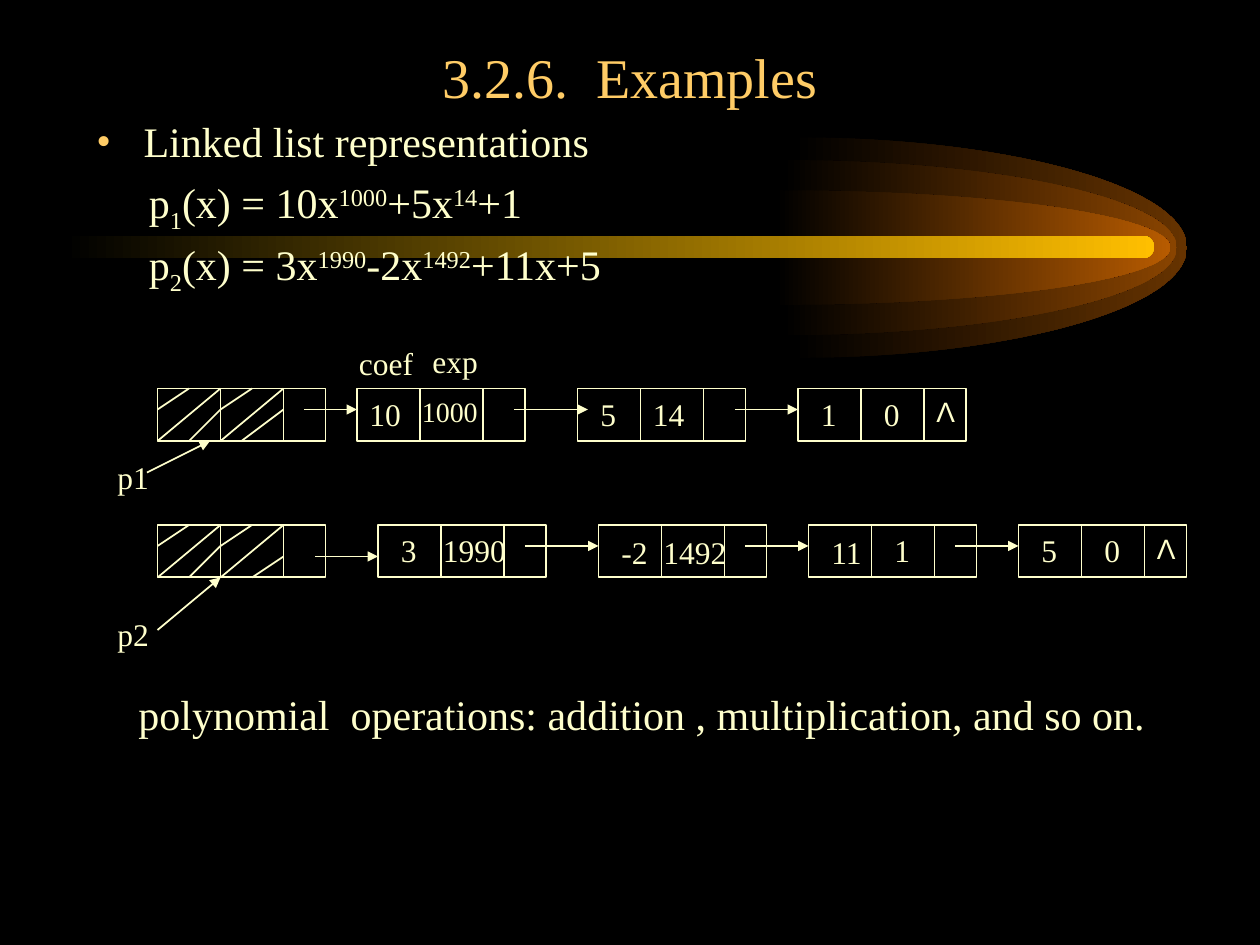
from dataclasses import dataclass
from typing import NamedTuple

from lxml import etree
from pptx import Presentation
from pptx import util as u
from pptx.dml.color import RGBColor
from pptx.enum import shapes, text
from pptx.oxml import ns


@dataclass(frozen=True)
class Theme:
    black: str = "000000"
    ink: str = "FFFFCC"
    accent: str = "FFCC66"
    beam: str = "FFBF00"
    serif: str = "Times New Roman"
    sans: str = "Arial"
    title: int = 32
    body: int = 24
    label: int = 18
    small: int = 16
    line: int = 1


THEME = Theme()


class Point(NamedTuple):
    x: float
    y: float


class Glow(NamedTuple):
    left: float
    top: float
    height: float
    color: str


class Label(NamedTuple):
    words: str
    left: float
    top: float
    width: float
    size: int = THEME.label
    font: str = THEME.serif


class Stroke(NamedTuple):
    start: Point
    end: Point


class ListRow(NamedTuple):
    top: float
    nodes: tuple
    last_hatch: Stroke
    arrows: tuple
    labels: tuple


# Text and diagram sit on a grid of twelfths of an inch
NODE_WIDTH, NODE_HEIGHT, CELL_WIDTH = 16, 5, 6
HEAD_LEFT = 15

# The comet is measured in inches
TAIL_LENGTH = 3.13
CURVE = 0.55  # control distance of a quarter ellipse
GLOWS = (Glow(6.29, 1.09, 1.75, "663300"), Glow(6.21, 1.27, 1.39, "894400"),
         Glow(6.16, 1.51, 0.91, "B75B00"))

# Hatching of a head node, relative to its top left corner
HATCHES = (
    Stroke(Point(3, 0), Point(0, 2)),
    Stroke(Point(6, 0), Point(0, 5)),
    Stroke(Point(6, 2), Point(3, 5)),
    Stroke(Point(9, 0), Point(6, 2)),
    Stroke(Point(12, 0), Point(6, 5)),
)

ROWS = (
    ListRow(
        37, (HEAD_LEFT, 34, 55, 76),
        Stroke(Point(12, 2), Point(8, 5)),
        (Stroke(Point(29, 39), Point(34, 39)), Stroke(Point(49, 39), Point(56, 39)),
         Stroke(Point(70, 39), Point(76, 39)), Stroke(Point(14, 45), Point(20, 42))),
        (Label("coef", 33, 32.2, 9), Label("exp", 40, 32, 12),
         Label("10", 34, 37, 8), Label("1000", 39, 37, 11, THEME.small),
         Label("5", 56, 37, 7), Label("14", 61, 37, 10),
         Label("1", 77, 37, 6), Label("0", 83, 37, 5),
         Label("Λ", 88, 37, 4, THEME.small, THEME.sans), Label("p1", 10, 43, 7)),
    ),
    ListRow(
        50, (HEAD_LEFT, 36, 57, 77, 97),
        Stroke(Point(12, 3), Point(9, 5)),
        (Stroke(Point(30, 53), Point(36, 53)), Stroke(Point(50, 52), Point(57, 52)),
         Stroke(Point(71, 52), Point(77, 52)), Stroke(Point(91, 52), Point(97, 52)),
         Stroke(Point(15, 60), Point(21, 55))),
        (Label("3", 37, 50, 5), Label("1990", 41, 50, 10),
         Label("-2", 58, 50.2, 6), Label("1492", 62, 50.2, 9),
         Label("11", 78, 50.2, 6), Label("1", 84, 50, 6),
         Label("5", 98, 50, 6), Label("0", 104, 50, 7),
         Label("Λ", 109, 50, 5, THEME.small, THEME.sans), Label("p2", 10, 58, 9)),
    ),
)

# Each span is its wording and its baseline shift in percent
FORMULAS = (
    (("p", 0), ("1", -25), ("(x) = 10x", 0), ("1000", 30), ("+5x", 0), ("14", 30), ("+1", 0)),
    (("p", 0), ("2", -25), ("(x) = 3x", 0), ("1990", 30), ("-2x", 0), ("1492", 30), ("+11x+5", 0)),
)


def rgb(color: str) -> RGBColor:
    return RGBColor.from_string(color)


def grid(*steps: float) -> list[u.Length]:
    return [u.Inches(step / 12) for step in steps]


def fade(shape, color: str) -> None:
    shape.shadow.inherit = False
    shape.line.fill.background()
    shape.fill.gradient()
    shape.fill.gradient_angle = 0
    for stop, shade in zip(shape.fill.gradient_stops, (THEME.black, color)):
        stop.color.rgb = rgb(shade)


def draw_glow(page, glow: Glow) -> None:
    width, height = u.Inches(TAIL_LENGTH), u.Inches(glow.height)
    left, top, middle = u.Inches(glow.left), u.Inches(glow.top), height // 2
    builder = page.shapes.build_freeform(left, top)
    builder.add_line_segments(
        [(left + width, top + middle), (left, top + height), (left, top + middle)], close=True)
    shape = builder.convert_to_shape()
    # Round the two outer sides into quarter ellipses
    bend_x, bend_y = int(width * CURVE), int(middle * CURVE)
    bends = (((bend_x, 0), (width, middle - bend_y)),
             ((width, middle + bend_y), (bend_x, height)))
    sides = list(shape._element.iter(ns.qn("a:lnTo")))
    for side, controls in zip(sides, bends):
        side.tag = ns.qn("a:cubicBezTo")
        for index, (x, y) in enumerate(controls):
            side.insert(index, etree.Element(ns.qn("a:pt"), x=str(x), y=str(y)))
    fade(shape, glow.color)


def draw_line(page, start: Point, end: Point, arrow: bool = False) -> None:
    line = page.shapes.add_connector(shapes.MSO_CONNECTOR.STRAIGHT, *grid(*start, *end))
    line.line.color.rgb = rgb(THEME.ink)
    line.line.width = u.Pt(THEME.line)
    if arrow:
        etree.SubElement(line.line._get_or_add_ln(), ns.qn("a:tailEnd"), type="triangle")
    etree.SubElement(line._element.spPr, ns.qn("a:effectLst"))


def draw_node(page, left: float, top: float) -> None:
    box = page.shapes.add_shape(
        shapes.MSO_SHAPE.RECTANGLE, *grid(left, top, NODE_WIDTH, NODE_HEIGHT))
    box.shadow.inherit = False
    box.fill.background()
    box.line.color.rgb = rgb(THEME.ink)
    box.line.width = u.Pt(THEME.line)
    for column in (1, 2):
        x = left + column * CELL_WIDTH
        draw_line(page, Point(x, top), Point(x, top + NODE_HEIGHT))


def set_font(para, size: int, color: str = THEME.ink, font: str = THEME.serif) -> None:
    para.font.size = u.Pt(size)
    para.font.name = font
    para.font.color.rgb = rgb(color)


def add_box(page, left: float, top: float, width: float, height: float):
    box = page.shapes.add_textbox(*grid(left, top, width, height))
    box.text_frame.word_wrap = True
    return box.text_frame


def draw_label(page, label: Label) -> None:
    para = add_box(page, label.left, label.top, label.width, 4.8).paragraphs[0]
    para.text = label.words
    set_font(para, label.size, font=label.font)


def draw_body(page) -> None:
    frame = add_box(page, 8, 11, 102, 56)
    para = frame.paragraphs[0]
    para.text = "Linked list representations"
    indent, = grid(4.5)
    props = para._p.get_or_add_pPr()
    props.set("marL", str(indent))
    props.set("indent", str(-indent))
    bullet_color = etree.SubElement(props, ns.qn("a:buClr"))
    etree.SubElement(bullet_color, ns.qn("a:srgbClr"), val=THEME.accent)
    etree.SubElement(props, ns.qn("a:buFont"), typeface=THEME.serif)
    etree.SubElement(props, ns.qn("a:buChar"), char="•")
    para.line_spacing = 0.9
    set_font(para, THEME.body)
    for formula in FORMULAS:
        para = frame.add_paragraph()
        para._p.get_or_add_pPr().set("marL", str(grid(5)[0]))
        para.line_spacing = 0.9
        para.space_before = u.Pt(6)
        set_font(para, THEME.body)
        for words, shift in formula:
            span = para.add_run()
            span.text = words
            if shift:
                span._r.get_or_add_rPr().set("baseline", str(shift * 1000))


def main() -> None:
    deck = Presentation()
    deck.slide_width, deck.slide_height = u.Inches(10), u.Inches(7.5)
    page = deck.slides.add_slide(deck.slide_layouts[6])
    page.background.fill.solid()
    page.background.fill.fore_color.rgb = rgb(THEME.black)

    # Comet behind the text
    for glow in GLOWS:
        draw_glow(page, glow)
    beam = page.shapes.add_shape(
        shapes.MSO_SHAPE.ROUNDED_RECTANGLE, *map(u.Inches, (0.5, 1.87, 8.66, 0.18)))
    beam.adjustments[0] = 0.5
    fade(beam, THEME.beam)

    # Title, formulas and closing line
    frame = add_box(page, 9, 4, 102, 7)
    frame.vertical_anchor = text.MSO_ANCHOR.BOTTOM
    title = frame.paragraphs[0]
    title.text = "3.2.6.  Examples"
    title.alignment = text.PP_ALIGN.CENTER
    set_font(title, THEME.title, THEME.accent)
    draw_body(page)
    draw_label(page, Label("polynomial  operations: addition , multiplication, and so on.",
                           12, 65, 100, THEME.body))

    # Linked lists
    for row in ROWS:
        for left in row.nodes:
            draw_node(page, left, row.top)
        for start, end in (*HATCHES, row.last_hatch):
            draw_line(page, Point(HEAD_LEFT + start.x, row.top + start.y),
                      Point(HEAD_LEFT + end.x, row.top + end.y))
        for start, end in row.arrows:
            draw_line(page, start, end, arrow=True)
        for label in row.labels:
            draw_label(page, label)

    deck.save("out.pptx")


if __name__ == "__main__":
    main()
